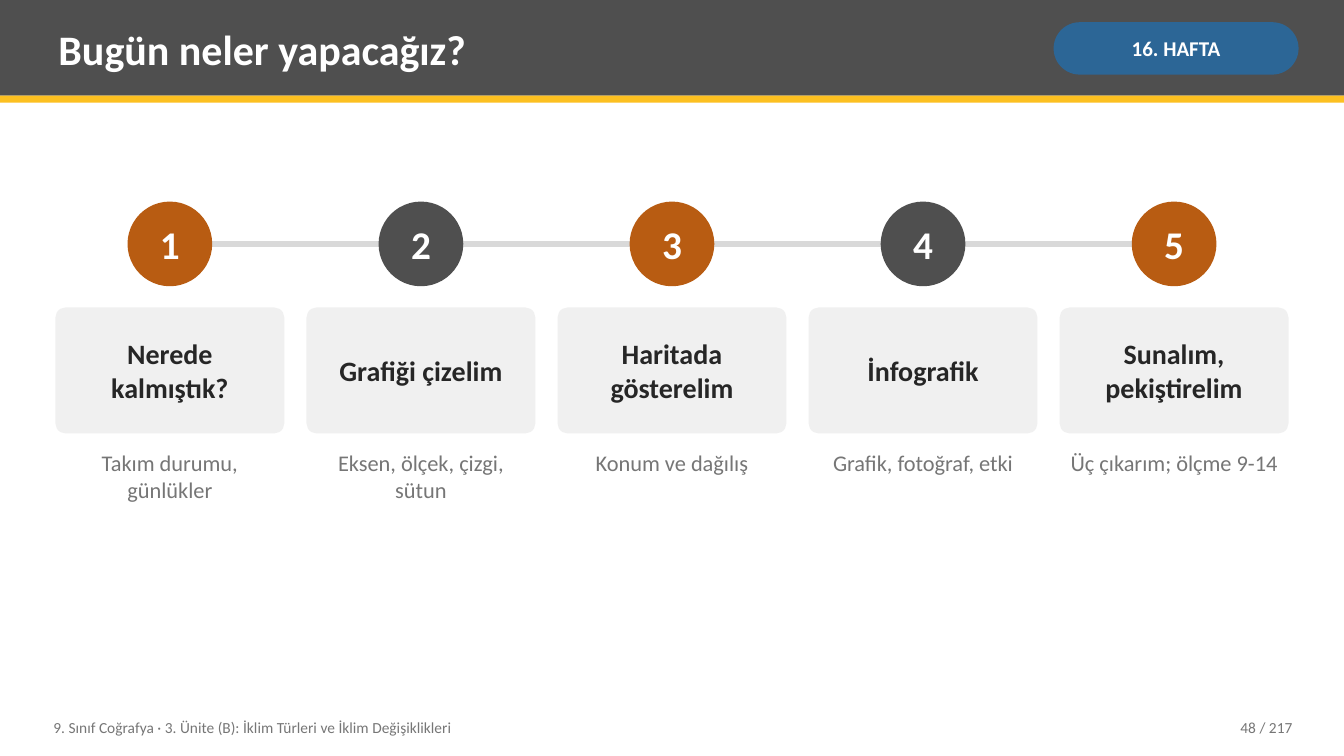
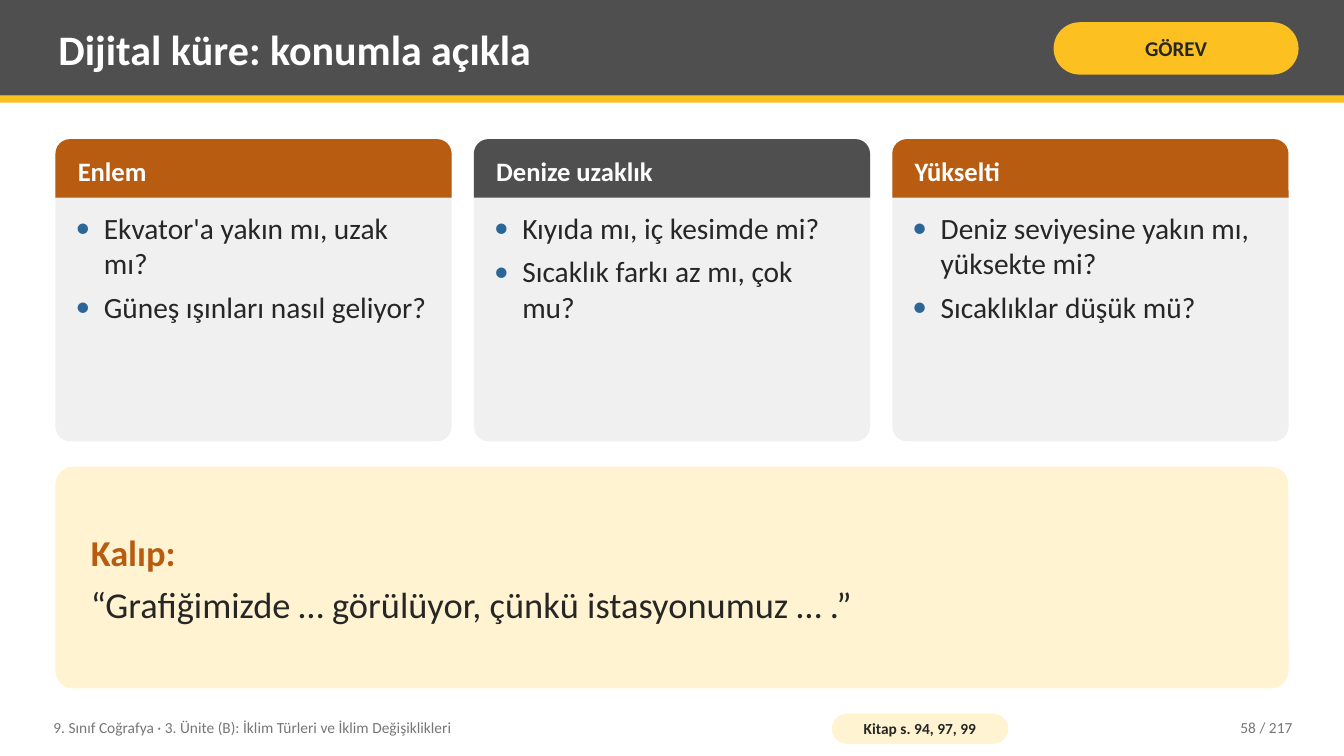
from lxml import etree
from pptx import Presentation
from pptx.dml.color import RGBColor
from pptx.enum.shapes import MSO_CONNECTOR, MSO_SHAPE
from pptx.enum.text import MSO_ANCHOR, MSO_AUTO_SIZE, PP_ALIGN
from pptx.oxml.ns import qn
from pptx.util import Pt

RECT, ROUND = MSO_SHAPE.RECTANGLE, MSO_SHAPE.ROUNDED_RECTANGLE
ROUND_TOP, OVAL = MSO_SHAPE.ROUND_2_SAME_RECTANGLE, MSO_SHAPE.OVAL
LEFT, CENTER, RIGHT = PP_ALIGN.LEFT, PP_ALIGN.CENTER, PP_ALIGN.RIGHT
TOP, MIDDLE = MSO_ANCHOR.TOP, MSO_ANCHOR.MIDDLE
STRAIGHT = MSO_CONNECTOR.STRAIGHT

FONT = "Calibri"
WHITE, INK, MUTED = "FFFFFF", "262626", "767676"
DARK, ORANGE, YELLOW, BLUE = "4F4F4F", "B85C12", "FCC021", "2C6696"
PANEL, CREAM, RAIL = "F0F0F0", "FFF3D1", "D9D9D9"
ACCENTS = (ORANGE, DARK)

PX = 9144  # 100 px to the inch
WIDTH, HEIGHT = 1333, 750
LEFT_EDGE, CONTENT_W, GAP = 55, 1223, 22
TEXT_INSETS = (8, 4, 8, 4)

FOOTER = "9. Sınıf Coğrafya · 3. Ünite (B): İklim Türleri ve İklim Değişiklikleri"
PAGE_COUNT = 217

AGENDA = {"title": "Bugün neler yapacağız?", "page": 48,
          "tag": ("16. HAFTA", BLUE, WHITE)}
STEPS = [
    ("Nerede kalmıştık?", "Takım durumu, günlükler"),
    ("Grafiği çizelim", "Eksen, ölçek, çizgi, sütun"),
    ("Haritada gösterelim", "Konum ve dağılış"),
    ("İnfografik", "Grafik, fotoğraf, etki"),
    ("Sunalım, pekiştirelim", "Üç çıkarım; ölçme 9-14"),
]

TASK = {"title": "Dijital küre: konumla açıkla", "page": 58,
        "tag": ("GÖREV", YELLOW, INK)}
CARDS = [
    ("Enlem", ["Ekvator'a yakın mı, uzak mı?", "Güneş ışınları nasıl geliyor?"]),
    ("Denize uzaklık", ["Kıyıda mı, iç kesimde mi?", "Sıcaklık farkı az mı, çok mu?"]),
    ("Yükselti", ["Deniz seviyesine yakın mı, yüksekte mi?", "Sıcaklıklar düşük mü?"]),
]
PATTERN_LABEL = "Kalıp:"
PATTERN = "“Grafiğimizde … görülüyor, çünkü istasyonumuz … .”"
BOOK_PAGES = "Kitap s. 94, 97, 99"


def px(*lengths):
    return [int(n * PX) for n in lengths]


def rgb(color):
    return RGBColor.from_string(color)


def add_bullet(p, indent=28):
    pPr = p._p.get_or_add_pPr()
    pPr.set("marL", str(indent * PX))
    pPr.set("indent", str(-indent * PX))
    color = etree.SubElement(pPr, qn("a:buClr"))
    etree.SubElement(color, qn("a:srgbClr"), val=BLUE)
    etree.SubElement(pPr, qn("a:buFont"), typeface=FONT)
    etree.SubElement(pPr, qn("a:buChar"), char="•")


def write(shape, *lines, size, color=INK, bold=False, align=LEFT, anchor=MIDDLE,
          insets=TEXT_INSETS, wrap=True, bullets=False, gap=6):
    """Fill a shape with paragraphs; a line is a string or (string, colour, bold)."""
    tf = shape.text_frame
    tf.auto_size = MSO_AUTO_SIZE.NONE
    tf.word_wrap = wrap
    tf.vertical_anchor = anchor
    (tf.margin_left, tf.margin_top,
     tf.margin_right, tf.margin_bottom) = px(*insets)
    for i, line in enumerate(lines):
        text, c, b = (line, color, bold) if isinstance(line, str) else line
        p = tf.add_paragraph() if i else tf.paragraphs[0]
        p.alignment = align
        if i < len(lines) - 1:
            p.space_after = Pt(gap)
        if bullets:
            add_bullet(p)
        r = p.add_run()
        r.text = text
        r.font.name, r.font.size, r.font.bold = FONT, Pt(size), b
        r.font.color.rgb = rgb(c)


def add_box(s, kind, at, fill, *adjustments):
    sp = s.shapes.add_shape(kind, *px(*at))
    sp.shadow.inherit = False
    sp.fill.solid()
    sp.fill.fore_color.rgb = rgb(fill)
    sp.line.fill.background()
    for i, value in enumerate(adjustments):
        sp.adjustments[i] = value
    return sp


def add_text(s, at, *lines, **fmt):
    write(s.shapes.add_textbox(*px(*at)), *lines, **fmt)


def add_rail(s, x1, x2, y):
    line = s.shapes.add_connector(STRAIGHT, *px(x1, y, x2, y))
    line.line.color.rgb = rgb(RAIL)
    line.line.width = Pt(4)
    etree.SubElement(line._element.spPr, qn("a:effectLst"))


def columns(count):
    """Return the left edges and the width of equal columns across the content."""
    width = (CONTENT_W - GAP * (count - 1)) // count
    return [LEFT_EDGE + i * (width + GAP) for i in range(count)], width


def add_framed_slide(prs, title, page, tag):
    """Add a slide with the header band, title, tag and footer."""
    s = prs.slides.add_slide(prs.slide_layouts[5])
    add_box(s, RECT, (0, 0, WIDTH, 95), DARK)
    stripe = add_box(s, RECT, (0, 95, WIDTH, 7), YELLOW)
    heading = s.shapes.title
    stripe.element.addnext(heading.element)
    heading.left, heading.top, heading.width, heading.height = px(50, 7, 975, 82)
    write(heading, title, size=30, color=WHITE, bold=True)
    label, fill, color = tag
    pill = add_box(s, ROUND, (1045, 22, 243, 52), fill, 0.5)
    write(pill, label, size=15, color=color, bold=True, align=CENTER,
          insets=(5, 2, 5, 2))
    add_text(s, (45, 704, 760, 36), FOOTER, size=11, color=MUTED)
    add_text(s, (1130, 704, 160, 36), f"{page} / {PAGE_COUNT}", size=11,
             color=MUTED, align=RIGHT)
    return s


def build_agenda(prs):
    s = add_framed_slide(prs, **AGENDA)
    lefts, width = columns(len(STEPS))
    circle, circle_top = 84, 200
    add_rail(s, lefts[0] + width / 2, lefts[-1] + width / 2, circle_top + circle / 2)
    for i, (x, (name, detail)) in enumerate(zip(lefts, STEPS)):
        dot = add_box(s, OVAL, (x + (width - circle) / 2, circle_top, circle, circle),
                      ACCENTS[i % 2])
        write(dot, str(i + 1), size=28, color=WHITE, bold=True, align=CENTER,
              insets=(0, 0, 0, 0), wrap=False)
        step = add_box(s, ROUND, (x, 305, width, 125), PANEL, 0.08)
        write(step, name, size=20, bold=True, align=CENTER, insets=(8, 8, 8, 8))
        add_text(s, (x, 442, width, 190), detail, size=16, color=MUTED,
                 align=CENTER, anchor=TOP)


def build_task(prs):
    s = add_framed_slide(prs, **TASK)
    lefts, width = columns(len(CARDS))
    top, header_h = 138, 58
    for i, (x, (name, questions)) in enumerate(zip(lefts, CARDS)):
        add_box(s, ROUND, (x, top, width, 300), PANEL, 0.05)
        header = add_box(s, ROUND_TOP, (x, top, width, header_h), ACCENTS[i % 2], 0.25, 0)
        write(header, name, size=19, color=WHITE, bold=True, insets=(18, 4, 18, 4))
        add_text(s, (x + 12, top + header_h + 8, width - 24, 226), *questions,
                 size=21, anchor=TOP, bullets=True)
    panel = add_box(s, ROUND, (LEFT_EDGE, 463, CONTENT_W, 220), CREAM, 0.08)
    write(panel, (PATTERN_LABEL, ORANGE, True), PATTERN, size=26,
          insets=(30, 8, 30, 8))
    book = add_box(s, ROUND, (825, 708, 175, 30), CREAM, 0.5)
    write(book, BOOK_PAGES, size=11, bold=True, align=CENTER, insets=(4, 0, 4, 0))


def main():
    prs = Presentation()
    prs.slide_width, prs.slide_height = px(WIDTH, HEIGHT)
    build_agenda(prs)
    build_task(prs)
    prs.save("out.pptx")


if __name__ == "__main__":
    main()
